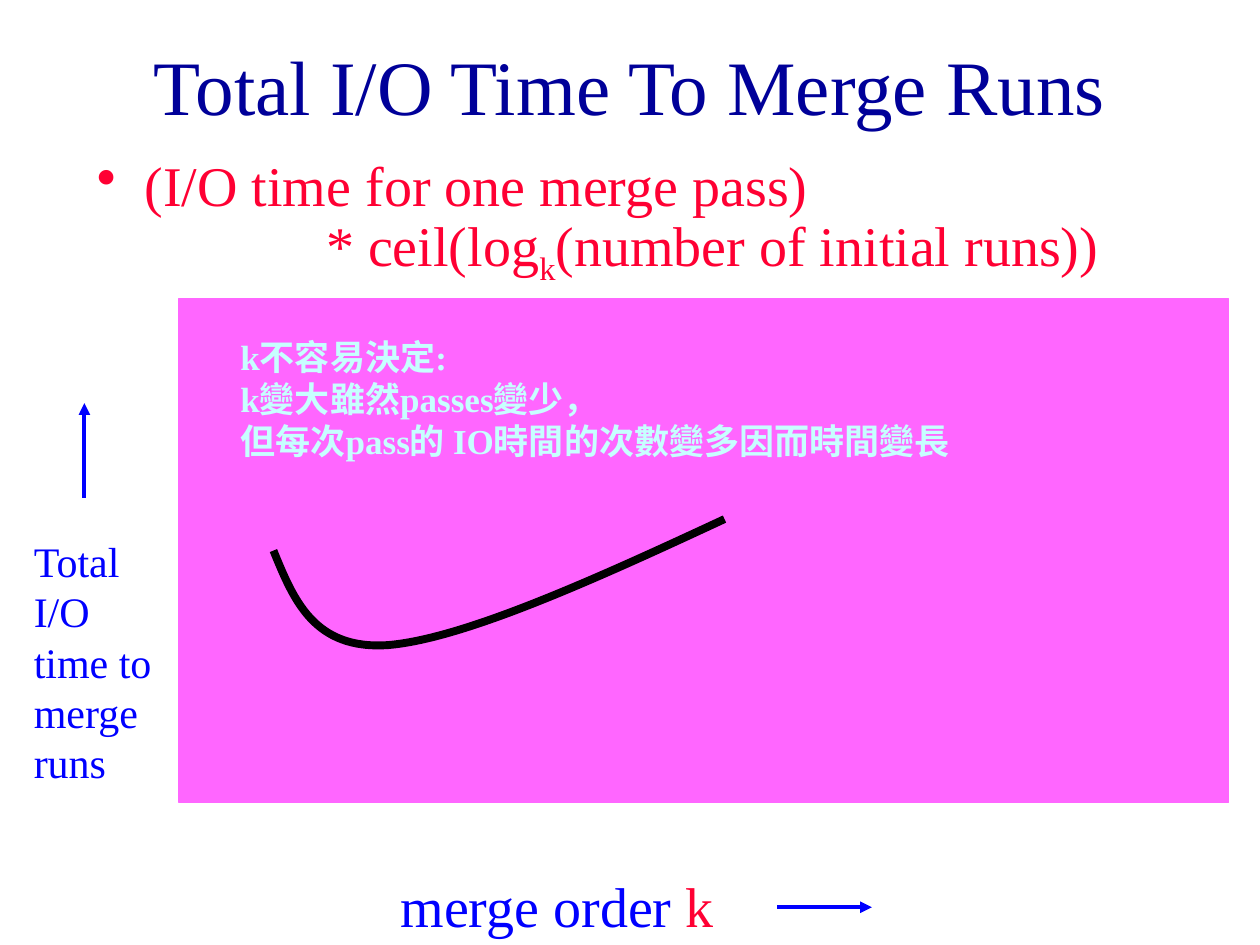
import dataclasses

import lxml.etree
import pptx
import pptx.dml.color
import pptx.enum.shapes
import pptx.enum.text
import pptx.oxml.ns
import pptx.util

Inches = pptx.util.Inches
Pt = pptx.util.Pt
qn = pptx.oxml.ns.qn


@dataclasses.dataclass(frozen=True)
class Theme:
    """Colours and type sizes of the slide."""
    font: str = "Times New Roman"
    title: str = "000099"
    accent: str = "FF0033"
    axis: str = "0000FF"
    plot: str = "FF66FF"
    note: str = "C7FFFF"
    curve: str = "000000"
    title_size: int = 44
    body_size: int = 32
    label_size: int = 24
    note_size: int = 20


THEME = Theme()


def colour(value):
    """Return an RGB colour from its hex text."""
    return pptx.dml.color.RGBColor.from_string(value)


def add_text(page, box, lines, size, wrap=True, bold=False):
    """Add a text box; each line is a list of (text, colour) spans."""
    frame = page.shapes.add_textbox(*map(Inches, box)).text_frame
    frame.word_wrap = wrap
    for index, spans in enumerate(lines):
        para = frame.paragraphs[0] if index == 0 else frame.add_paragraph()
        for text, value in spans:
            span = para.add_run()
            span.text = text
            span.font.name = THEME.font
            span.font.size = Pt(size)
            span.font.bold = bold
            span.font.color.rgb = colour(value)
    return frame


def add_title(page, box):
    """Add the centred heading."""
    frame = add_text(page, box, [[("Total I/O Time To Merge Runs", THEME.title)]],
                     THEME.title_size)
    frame.vertical_anchor = pptx.enum.text.MSO_ANCHOR.MIDDLE
    frame.paragraphs[0].alignment = pptx.enum.text.PP_ALIGN.CENTER


def add_formula(page, box):
    """Add the bulleted formula with its indented second line."""
    parts = [["(I/O time for one merge pass)"],
             ["* ceil(log", "k", "(number of initial runs))"]]
    lines = [[(text, THEME.accent) for text in line] for line in parts]
    first, second = add_text(page, box, lines, THEME.body_size).paragraphs
    for para, before in ((first, 8), (second, 0)):
        para.line_spacing = 0.8
        para.space_before = Pt(before)
    second.runs[1].font._element.set("baseline", "-25000")
    second._p.get_or_add_pPr().set("marL", str(Inches(1.82)))
    properties = first._p.get_or_add_pPr()
    properties.set("marL", str(Inches(0.38)))
    properties.set("indent", str(Inches(-0.38)))
    bullet_colour = lxml.etree.SubElement(properties, qn("a:buClr"))
    lxml.etree.SubElement(bullet_colour, qn("a:srgbClr"), val=THEME.accent)
    lxml.etree.SubElement(properties, qn("a:buChar"), char="•")


def add_arrow(page, start, end):
    """Add an axis arrow pointing at its end."""
    arrow = page.shapes.add_connector(
        pptx.enum.shapes.MSO_CONNECTOR.STRAIGHT, *map(Inches, start + end))
    arrow.line.color.rgb = colour(THEME.axis)
    arrow.line.width = Pt(2.25)
    lxml.etree.SubElement(arrow.line._get_or_add_ln(), qn("a:tailEnd"), type="triangle")
    lxml.etree.SubElement(arrow._element.spPr, qn("a:effectLst"))


def add_curve(page, left, top):
    """Add the time curve, two Bezier pieces starting at the given point."""
    points = [(0.16, 0.39), (0.32, 0.79), (0.91, 0.75),
              (1.51, 0.70), (2.55, 0.23), (3.58, -0.25)]
    builder = page.shapes.build_freeform(Inches(left), Inches(top))
    builder.add_line_segments(
        [(Inches(left + x), Inches(top + y)) for x, y in points], close=False)
    curve = builder.convert_to_shape()
    curve.shadow.inherit = False
    curve.fill.background()
    curve.line.color.rgb = colour(THEME.curve)
    curve.line.width = Pt(4.5)
    segments = list(curve._element.iter(qn("a:lnTo")))
    for index in range(0, len(segments), 3):
        first, *others = segments[index:index + 3]
        first.tag = qn("a:cubicBezTo")
        for segment in others:
            first.append(segment[0])
            segment.getparent().remove(segment)


def add_plot(page, box):
    """Add the plot area with its axis labels, arrows, curve and note."""
    left, top, width, height = box
    area = page.shapes.add_shape(
        pptx.enum.shapes.MSO_SHAPE.RECTANGLE, *map(Inches, box))
    area.shadow.inherit = False
    area.fill.solid()
    area.fill.fore_color.rgb = colour(THEME.plot)
    area.line.color.rgb = colour(THEME.plot)
    area.line.width = Pt(1)

    upright = add_text(page, (left - 1.25, top + 1.83, 1.17, 2.1),
                       [[("Total I/O time to merge runs", THEME.axis)]], THEME.label_size)
    upright.paragraphs[0].space_before = Pt(15)
    across = add_text(page, (left + 1.66, top + height + 0.5, 2.92, 0.64),
                      [[("merge order ", THEME.axis), ("k", THEME.accent)]],
                      THEME.body_size)
    across.paragraphs[0].space_before = Pt(20)

    arrow_y = top + height + 0.83
    add_arrow(page, (left + 4.75, arrow_y), (left + 5.5, arrow_y))
    add_arrow(page, (left - 0.75, top + 1.58), (left - 0.75, top + 0.83))
    add_curve(page, left + 0.75, top + 2)

    notes = ["k不容易決定:", "k變大雖然passes變少，",
             "但每次pass的 IO時間的次數變多因而時間變長"]
    add_text(page, (left + 0.39, top + 0.24, 6.09, 1.1),
             [[(note, THEME.note)] for note in notes],
             THEME.note_size, wrap=False, bold=True)


def main():
    """Build and save the deck."""
    deck = pptx.Presentation()
    deck.slide_width, deck.slide_height = Inches(10), Inches(7.5)
    page = deck.slides.add_slide(deck.slide_layouts[6])
    add_title(page, (0.75, 0.17, 8.5, 1))
    add_plot(page, (1.42, 2.37, 8.33, 4))
    add_formula(page, (0.67, 1.25, 8.5, 1.08))
    deck.save("out.pptx")


main()
